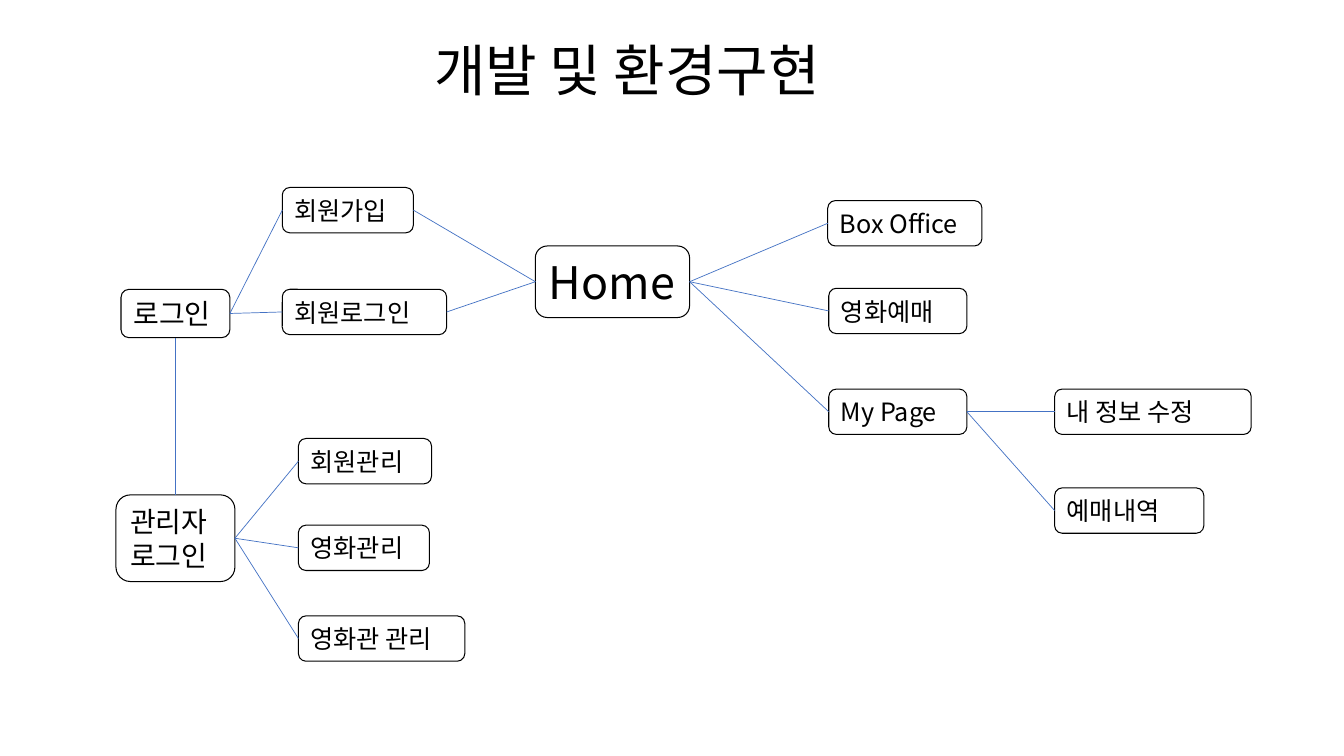
from lxml import etree
from pptx import Presentation
from pptx.dml.color import RGBColor
from pptx.enum.shapes import MSO_CONNECTOR, MSO_SHAPE
from pptx.enum.text import MSO_ANCHOR, PP_ALIGN
from pptx.oxml.ns import qn
from pptx.util import Inches, Pt

ROUND = MSO_SHAPE.ROUNDED_RECTANGLE
ALT = MSO_SHAPE.FLOWCHART_ALTERNATE_PROCESS
STRAIGHT = MSO_CONNECTOR.STRAIGHT
LEFT = PP_ALIGN.LEFT
MIDDLE = MSO_ANCHOR.MIDDLE
TOP_SIDE, LEFT_SIDE, BOTTOM_SIDE, RIGHT_SIDE = range(4)


def color(code):
    return RGBColor.from_string(code)


class Board:
    """Draws styled boxes, links and titles on one slide."""

    font = "Noto Sans CJK KR"
    ink = "000000"
    blue = "4472C4"

    def __init__(self, slide):
        self.shapes = slide.shapes

    def label(self, shape, text, size):
        frame = shape.text_frame
        frame.word_wrap = True
        para = frame.paragraphs[0]
        para.text = text
        para.alignment = LEFT
        font = para.font
        font.name = self.font
        font.size = Pt(size)
        font.color.rgb = color(self.ink)
        base = para._p.find(qn("a:pPr")).find(qn("a:defRPr"))
        etree.SubElement(base, qn("a:ea")).set("typeface", self.font)

    def title(self, text, x, y, w, h, size):
        box = self.shapes.add_textbox(Inches(x), Inches(y), Inches(w), Inches(h))
        self.label(box, text, size)

    def box(self, text, x, y, w, h=0.45, size=18, kind=ALT):
        shape = self.shapes.add_shape(
            kind, Inches(x), Inches(y), Inches(w), Inches(h))
        shape.shadow.inherit = False
        shape.fill.background()
        shape.line.color.rgb = color(self.ink)
        shape.line.width = Pt(0.75)
        shape.text_frame.vertical_anchor = MIDDLE
        self.label(shape, text, size)
        return shape

    def link(self, start, end, out=RIGHT_SIDE, into=LEFT_SIDE):
        line = self.shapes.add_connector(STRAIGHT, 0, 0, 0, 0)
        line.begin_connect(start, out)
        line.end_connect(end, into)
        line.line.color.rgb = color(self.blue)
        line.line.width = Pt(0.5)
        etree.SubElement(line._element.spPr, qn("a:effectLst"))


def main():
    deck = Presentation()
    deck.slide_width = Inches(13.33)
    deck.slide_height = Inches(7.5)
    board = Board(deck.slides.add_slide(deck.slide_layouts[6]))

    board.title("개발 및 환경구현", 4.21, 0.3, 4.53, 0.77, 40)

    login = board.box("로그인", 1.2, 2.87, 1.08, 0.48, 20)
    admin = board.box("관리자 로그인", 1.15, 4.91, 1.18, 0.86, 20)
    join = board.box("회원가입", 2.8, 1.86, 1.3)
    member = board.box("회원로그인", 2.8, 2.87, 1.63, kind=ROUND)
    home = board.box("Home", 5.31, 2.44, 1.53, 0.71, 32)
    tasks = [
        board.box("회원관리", 2.96, 4.35, 1.32),
        board.box("영화관리", 2.96, 5.21, 1.3),
        board.box("영화관 관리", 2.96, 6.11, 1.65),
    ]
    office = board.box("Box Office", 8.21, 1.99, 1.53)
    ticket = board.box("영화예매", 8.22, 2.86, 1.37)
    page = board.box("My Page", 8.22, 3.86, 1.37)
    info = board.box("내 정보 수정", 10.46, 3.86, 1.95)
    orders = board.box("예매내역", 10.46, 4.84, 1.48)

    board.link(admin, login, TOP_SIDE, BOTTOM_SIDE)
    tree = [
        (login, [join, member]),
        (join, [home]),
        (member, [home]),
        (admin, tasks),
        (home, [office, ticket, page]),
        (page, [info, orders]),
    ]
    for start, ends in tree:
        for end in ends:
            board.link(start, end)

    deck.save("out.pptx")


if __name__ == "__main__":
    main()
